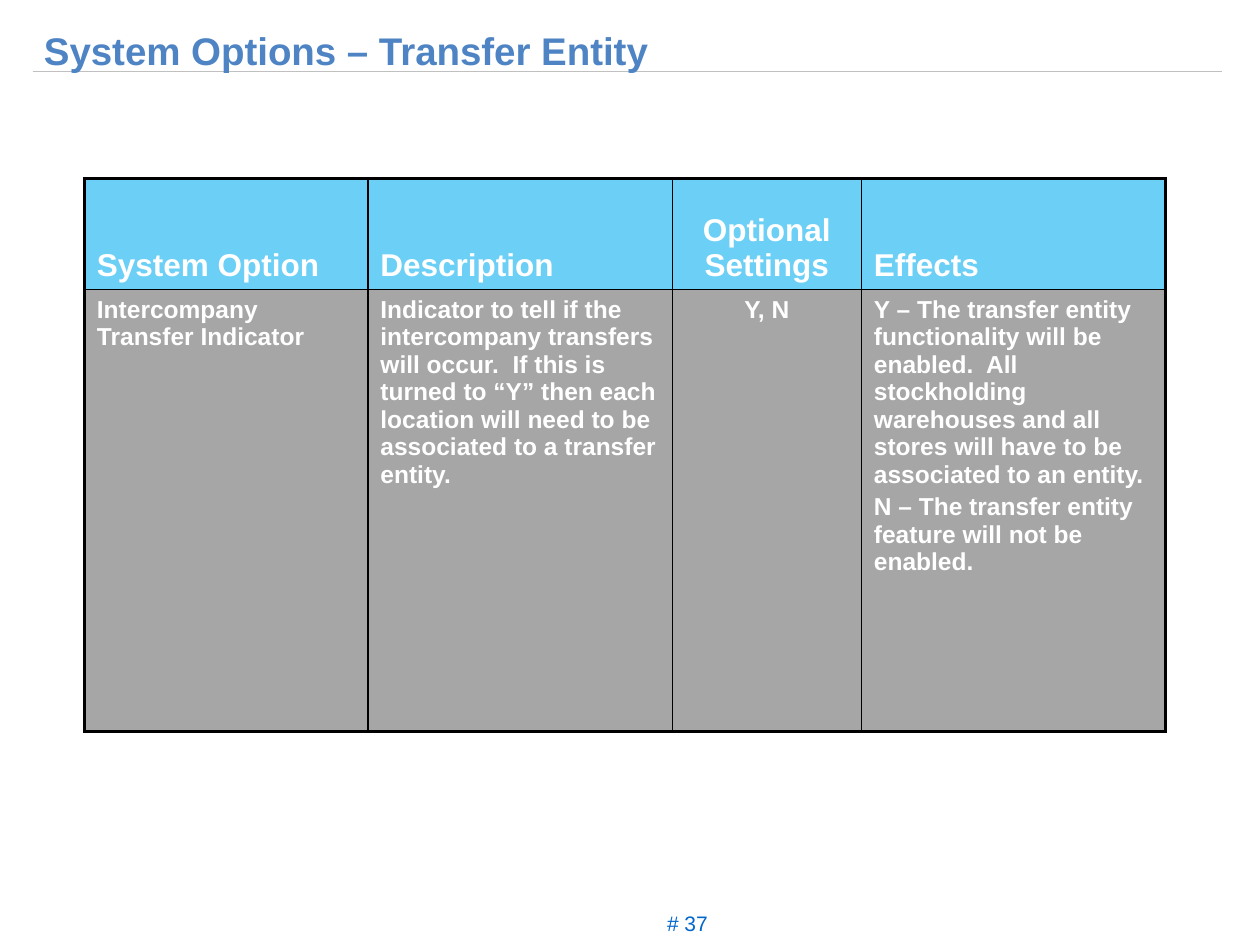
from lxml import etree
from pptx import Presentation
from pptx.dml.color import RGBColor
from pptx.enum.shapes import MSO_CONNECTOR
from pptx.enum.text import MSO_ANCHOR, PP_ALIGN
from pptx.oxml.ns import qn
from pptx.util import Pt

COLORS = {
    "title": "4E84C4", "rule": "C0C0C0", "page": "0066CC", "border": "000000",
    "header": "6CCFF6", "body": "A6A6A6", "text": "FFFFFF",
}
COLUMN_WIDTHS = [162, 174, 108, 174]
ROW_HEIGHTS = [63.36, 252.72]
CENTERED_COLUMN = 2
ROWS = [
    ["System Option", "Description", "Optional Settings", "Effects"],
    [
        "Intercompany Transfer Indicator",
        "Indicator to tell if the intercompany transfers will occur.  If this is "
        "turned to “Y” then each location will need to be associated to a "
        "transfer entity.",
        "Y, N",
        "Y – The transfer entity functionality will be enabled.  All stockholding "
        "warehouses and all stores will have to be associated to an entity.\n"
        "N – The transfer entity feature will not be enabled.",
    ],
]


def rgb(name):
    return RGBColor.from_string(COLORS[name])


def style(p, size, color, bold=False, align=PP_ALIGN.LEFT):
    p.alignment = align
    font = p.font
    font.name, font.size, font.bold = "Arial", Pt(size), bold
    font.color.rgb = rgb(color)


def add_text(s, text, box, size, color, spacing, top=3.6, **look):
    tf = s.shapes.add_textbox(*map(Pt, box)).text_frame
    tf.word_wrap = True
    tf.margin_top = Pt(top)
    p = tf.paragraphs[0]
    p.text = text
    p.line_spacing = spacing
    style(p, size, color, **look)


def add_rule(s, x1, x2, y):
    line = s.shapes.add_connector(MSO_CONNECTOR.STRAIGHT, Pt(x1), Pt(y), Pt(x2), Pt(y))
    line.line.color.rgb = rgb("rule")
    line.line.width = Pt(0.75)
    etree.SubElement(line._element.spPr, qn("a:effectLst"))


def set_borders(cell, widths):
    """Draw the cell's left, right, top and bottom borders, widths in points."""
    tcPr = cell._tc.get_or_add_tcPr()
    for i, (side, width) in enumerate(zip("LRTB", widths)):
        ln = etree.Element(qn(f"a:ln{side}"), w=str(Pt(width)))
        fill = etree.SubElement(ln, qn("a:solidFill"))
        etree.SubElement(fill, qn("a:srgbClr"), val=COLORS["border"])
        tcPr.insert(i, ln)


def fill_cell(cell, text, is_header, align):
    cell.fill.solid()
    cell.fill.fore_color.rgb = rgb("header" if is_header else "body")
    cell.vertical_anchor = MSO_ANCHOR.BOTTOM if is_header else MSO_ANCHOR.TOP
    cell.text = text
    for i, p in enumerate(cell.text_frame.paragraphs):
        style(p, 18 if is_header else 14, "text", bold=True, align=align)
        if i:
            p.space_before = Pt(2.8)


def add_options_table(s, left, top):
    n_rows, n_cols = len(ROWS), len(COLUMN_WIDTHS)
    table = s.shapes.add_table(n_rows, n_cols, Pt(left), Pt(top),
                               Pt(sum(COLUMN_WIDTHS)), Pt(sum(ROW_HEIGHTS))).table
    table.horz_banding = False
    for column, width in zip(table.columns, COLUMN_WIDTHS):
        column.width = Pt(width)
    for r, (row, height) in enumerate(zip(table.rows, ROW_HEIGHTS)):
        row.height = Pt(height)
        for c, cell in enumerate(row.cells):
            align = PP_ALIGN.CENTER if c == CENTERED_COLUMN else PP_ALIGN.LEFT
            fill_cell(cell, ROWS[r][c], r == 0, align)
            on_edge = (c == 0, c == n_cols - 1, r == 0, r == n_rows - 1)
            set_borders(cell, [2 if edge else 1 for edge in on_edge])


def main():
    prs = Presentation()
    prs.slide_width, prs.slide_height = Pt(720), Pt(540)
    s = prs.slides.add_slide(prs.slide_layouts[6])
    add_rule(s, 18.7, 698.4, 41)
    add_text(s, "# 37", (365.8, 516.2, 54, 21.6), 12, "page", 1.04,
             align=PP_ALIGN.CENTER)
    add_text(s, "System Options – Transfer Entity", (18, 5.8, 689.8, 35.3), 22,
             "title", 1.15, top=5.5, bold=True)
    add_options_table(s, 48.2, 102.2)
    prs.save("out.pptx")


if __name__ == "__main__":
    main()
